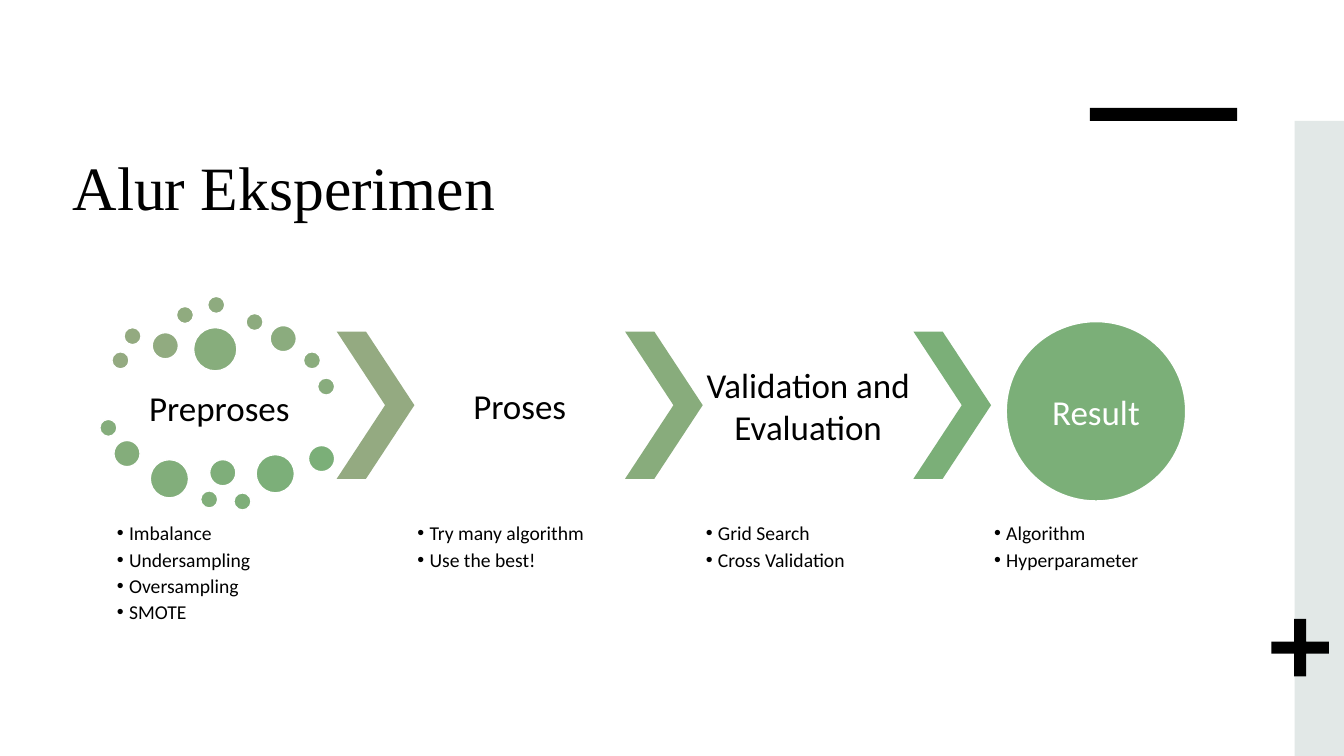
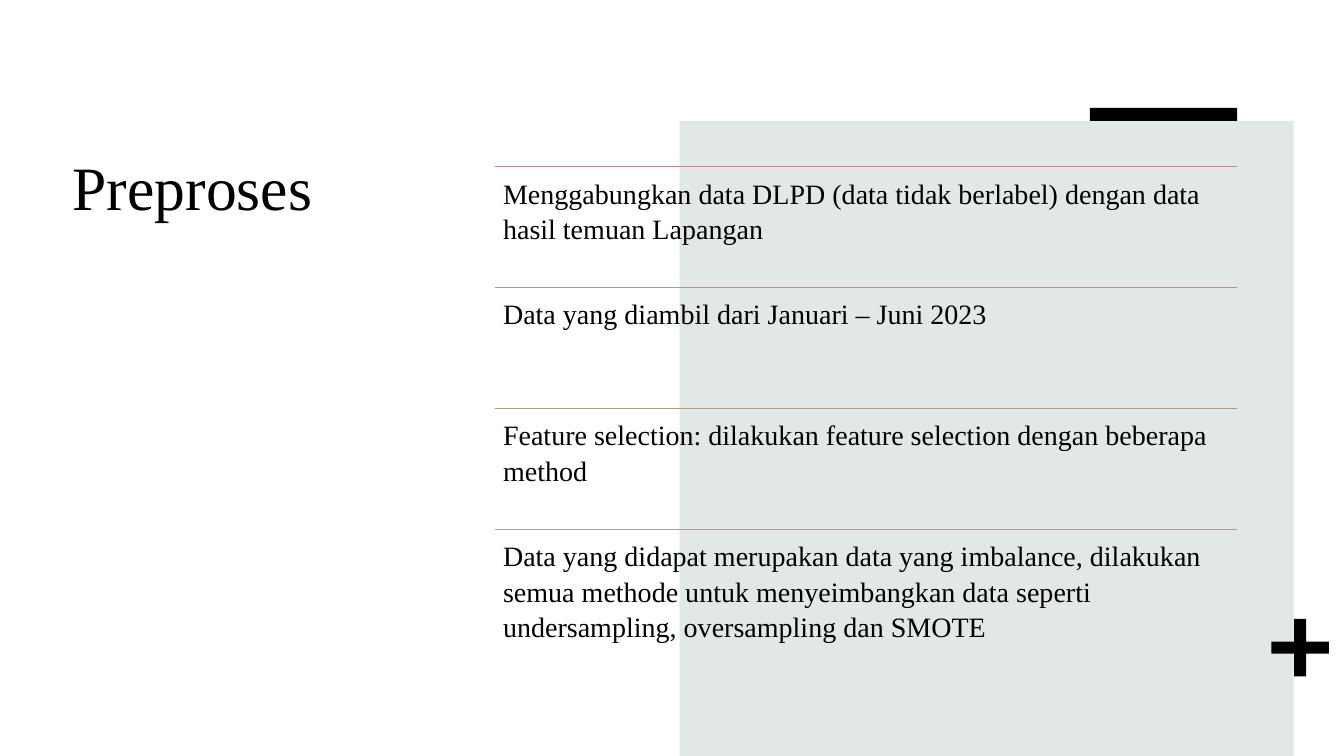
"""Build two slides on an experiment flow and its preprocessing steps."""
from lxml.etree import SubElement
from pptx import Presentation
from pptx.dml.color import RGBColor
from pptx.enum.shapes import MSO_CONNECTOR as Connector, MSO_SHAPE as Shape
from pptx.enum.text import MSO_ANCHOR as Anchor, MSO_AUTO_SIZE as AutoSize, PP_ALIGN as Align
from pptx.oxml.ns import qn
from pptx.util import Inches, Pt

COLOURS = {
    "black": "000000", "white": "FFFFFF", "panel": "E2E8E7",
    "sage": "94AA81", "leaf": "7BAF78", "clay": "BA8F7F", "olive": "B0A181",
}
SERIF = "Times New Roman"
SANS = "Calibri"

ramps = {}
for name, start, end, count in [("dots", "sage", "leaf", 18), ("chevrons", "sage", "leaf", 3),
                                ("rules", "clay", "olive", 4)]:
    first, last = (RGBColor.from_string(COLOURS[key]) for key in (start, end))
    ramps[name] = [
        RGBColor(*(round(a + (b - a) * step / (count - 1)) for a, b in zip(first, last)))
        for step in range(count)
    ]


def add_block(slide, kind, box, fill, outline=False, adjustment=None):
    block = slide.shapes.add_shape(kind, *map(Inches, box))
    block.shadow.inherit = False
    block.fill.solid()
    block.fill.fore_color.rgb = fill
    if outline:
        block.line.color.rgb = RGBColor.from_string(COLOURS["white"])
        block.line.width = Pt(1)
    else:
        block.line.fill.background()
    if adjustment is not None:
        block.adjustments[0] = adjustment
    return block


def write(frame, lines, size, font, inset, colour="black", align=Align.LEFT,
          anchor=Anchor.TOP, spacing=1.0, bullets=False):
    frame.word_wrap = True
    frame.auto_size = AutoSize.NONE
    frame.vertical_anchor = anchor
    frame.margin_left = frame.margin_right = Inches(inset)
    frame.margin_top = frame.margin_bottom = Inches(min(inset, 0.08))
    for index, line in enumerate(lines):
        para = frame.add_paragraph() if index else frame.paragraphs[0]
        para.alignment = align
        para.line_spacing = spacing
        para.space_before = Pt(0)
        para.space_after = Pt(2 if bullets else 0)
        span = para.add_run()
        span.text = line
        span.font.size = Pt(size)
        span.font.name = font
        span.font.color.rgb = RGBColor.from_string(COLOURS[colour])
        if bullets:
            props = para._p.get_or_add_pPr()
            props.set("marL", str(Inches(0.12)))
            props.set("indent", str(Inches(-0.12)))
            SubElement(props, qn("a:buFont")).set("typeface", "Arial")
            SubElement(props, qn("a:buChar")).set("char", "•")


deck = Presentation()
deck.slide_width = Inches(13.33)
deck.slide_height = Inches(7.5)
black = RGBColor.from_string(COLOURS["black"])
panel_colour = RGBColor.from_string(COLOURS["panel"])

pages = []
for heading, title_box, panel_box in [
    ("Alur Eksperimen", (0.62, 1.32, 9.04, 1.58), (12.84, 1.2, 0.49, 6.3)),
    ("Preproses", (0.62, 1.32, 3.5, 4.75), (6.74, 1.2, 6.09, 6.3)),
]:
    page = deck.slides.add_slide(deck.slide_layouts[5])
    title = page.shapes.title
    title.left, title.top, title.width, title.height = map(Inches, title_box)
    write(title.text_frame, [heading], 44, SERIF, 0.1, spacing=1.1)
    add_block(page, Shape.RECTANGLE, panel_box, panel_colour)
    add_block(page, Shape.RECTANGLE, (10.81, 1.07, 1.46, 0.13), black)
    add_block(page, Shape.CROSS, (12.61, 6.14, 0.57, 0.57), black, adjustment=0.395)
    pages.append(page)
flow, preprocessing = pages

dots = [
    (1.11, 3.49, 0.17), (1.23, 3.25, 0.17), (1.51, 3.3, 0.26), (1.75, 3.04, 0.17),
    (2.06, 2.94, 0.17), (2.44, 3.11, 0.17), (2.68, 3.23, 0.26), (3.01, 3.49, 0.17),
    (3.15, 3.75, 0.17), (1.92, 3.25, 0.43), (0.99, 4.16, 0.17), (1.13, 4.37, 0.26),
    (1.49, 4.56, 0.38), (1.99, 4.87, 0.17), (2.08, 4.56, 0.26), (2.32, 4.89, 0.17),
    (2.54, 4.51, 0.38), (3.06, 4.42, 0.26),
]
for (left, top, size), colour in zip(dots, ramps["dots"]):
    add_block(flow, Shape.OVAL, (left, top, size, size), colour, outline=True)

STAGE_STEP = 2.86
for index, colour in enumerate(ramps["chevrons"]):
    add_block(flow, Shape.CHEVRON, (3.34 + index * STAGE_STEP, 3.29, 0.77, 1.46), colour,
              adjustment=0.623)

stages = [
    ("Preproses", (1.13, 3.7, 2.09, 0.69), ["Imbalance", "Undersampling", "Oversampling", "SMOTE"]),
    ("Proses", (4.11, 3.29, 2.09, 1.46), ["Try many algorithm", "Use the best!"]),
    ("Validation and Evaluation", (6.97, 3.29, 2.09, 1.46), ["Grid Search", "Cross Validation"]),
    ("Result", (9.98, 3.19, 1.78, 1.78), ["Algorithm", "Hyperparameter"]),
]
for index, (label, label_box, items) in enumerate(stages):
    is_result = label == "Result"
    if is_result:
        holder = add_block(flow, Shape.OVAL, label_box, ramps["chevrons"][-1], outline=True)
    else:
        holder = flow.shapes.add_textbox(*map(Inches, label_box))
    write(holder.text_frame, [label], 25, SANS, 0 if is_result else 0.03,
          colour="white" if is_result else "black", align=Align.CENTER, anchor=Anchor.MIDDLE)
    list_left = 4.11 + (index - 1) * STAGE_STEP if index else 1.13
    list_box = flow.shapes.add_textbox(*map(Inches, (list_left, 5.14, 2.09, 1.29)))
    write(list_box.text_frame, items, 14, SANS, 0.03, bullets=True)

steps = [
    "Menggabungkan data DLPD (data tidak berlabel) dengan data hasil temuan Lapangan",
    "Data yang diambil dari Januari – Juni 2023",
    "Feature selection: dilakukan feature selection dengan beberapa method",
    "Data yang didapat merupakan data yang imbalance, dilakukan semua methode untuk "
    "menyeimbangkan data seperti undersampling, oversampling dan SMOTE",
]
ROW_LEFT, ROW_TOP, ROW_WIDTH, ROW_HEIGHT = 4.91, 1.65, 7.36, 1.2
for index, (step, colour) in enumerate(zip(steps, ramps["rules"])):
    top = ROW_TOP + index * ROW_HEIGHT
    rule = preprocessing.shapes.add_connector(
        Connector.STRAIGHT, *map(Inches, (ROW_LEFT, top, ROW_LEFT + ROW_WIDTH, top)))
    rule.line.color.rgb = colour
    rule.line.width = Pt(1)
    SubElement(rule._element.spPr, qn("a:effectLst"))
    box = preprocessing.shapes.add_textbox(*map(Inches, (ROW_LEFT, top, ROW_WIDTH, ROW_HEIGHT)))
    write(box.text_frame, [step], 20, SERIF, 0.08, spacing=1.05)

deck.save("out.pptx")
